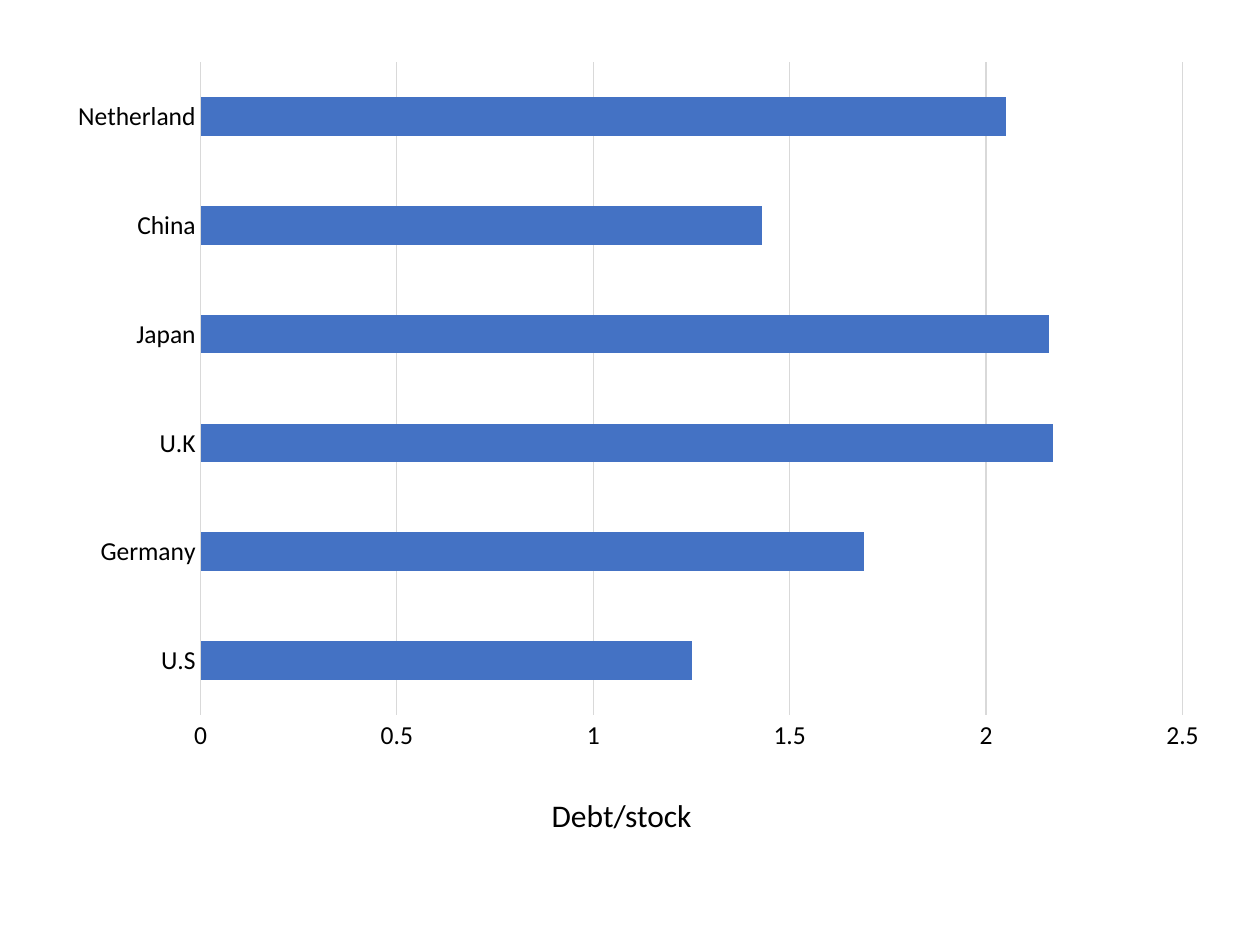
from lxml.etree import SubElement
from pptx import Presentation
from pptx.chart.data import CategoryChartData
from pptx.dml.color import RGBColor
from pptx.enum.chart import XL_CHART_TYPE, XL_TICK_MARK
from pptx.oxml.ns import qn
from pptx.util import Inches, Pt

DEBT = {
    "U.S": 1.25,
    "Germany": 1.69,
    "U.K": 2.17,
    "Japan": 2.16,
    "China": 1.43,
    "Netherland": 2.05,
}
CAPTION = "Debt/stock"
FONT = "Calibri"
COLORS = {"text": "000000", "bar": "4472C4", "grid": "D9D9D9"}
PLOT = {"x": 0.08, "y": 0.04, "w": 0.88, "h": 0.92}


def color(name):
    return RGBColor.from_string(COLORS[name])


def style(font, size):
    font.name = FONT
    font.size = Pt(size)
    font.color.rgb = color("text")


def rule(line):
    line.color.rgb = color("grid")
    line.width = Pt(0.75)


def place(chart):
    """Fix the inner plot area as fractions of the chart frame."""
    area = chart.plots[0]._element.getparent()
    layout = area.find(qn("c:layout"))
    if layout is None:
        layout = SubElement(area, qn("c:layout"))
        area.insert(0, layout)
    manual = SubElement(layout, qn("c:manualLayout"))
    rules = [("layoutTarget", "inner"), ("xMode", "edge"), ("yMode", "edge")]
    for tag, val in rules + list(PLOT.items()):
        SubElement(manual, qn("c:" + tag)).set("val", str(val))


def add_bars(slide):
    data = CategoryChartData()
    data.categories = list(DEBT)
    data.add_series("Series 1", list(DEBT.values()))
    chart = slide.shapes.add_chart(
        XL_CHART_TYPE.BAR_CLUSTERED,
        Inches(0.62), Inches(0.27), Inches(9.12), Inches(5.69), data,
    ).chart
    chart.has_legend = False
    chart.has_title = False
    style(chart.font, 10)

    plot = chart.plots[0]
    plot.gap_width = 182
    plot.vary_by_categories = False
    fill = plot.series[0].format.fill
    fill.solid()
    fill.fore_color.rgb = color("bar")

    cats, vals = chart.category_axis, chart.value_axis
    for axis in (cats, vals):
        axis.major_tick_mark = XL_TICK_MARK.NONE
        axis.minor_tick_mark = XL_TICK_MARK.NONE
        style(axis.tick_labels.font, 15)
    vals.minimum_scale, vals.maximum_scale, vals.major_unit = 0, 2.5, 0.5
    vals.tick_labels.number_format = "General"
    vals.tick_labels.number_format_is_linked = False
    vals.has_major_gridlines = True
    rule(cats.format.line)
    rule(vals.major_gridlines.format.line)
    vals.format.line.fill.background()
    place(chart)


def add_caption(slide):
    box = slide.shapes.add_textbox(
        Inches(4.28), Inches(6.27), Inches(1.4), Inches(0.4))
    frame = box.text_frame
    frame.word_wrap = False
    frame.text = CAPTION
    style(frame.paragraphs[0].runs[0].font, 18)


def main():
    deck = Presentation()
    deck.slide_width, deck.slide_height = Inches(10), Inches(7.5)
    slide = deck.slides.add_slide(deck.slide_layouts[6])
    add_caption(slide)
    add_bars(slide)
    deck.save("out.pptx")


if __name__ == "__main__":
    main()
